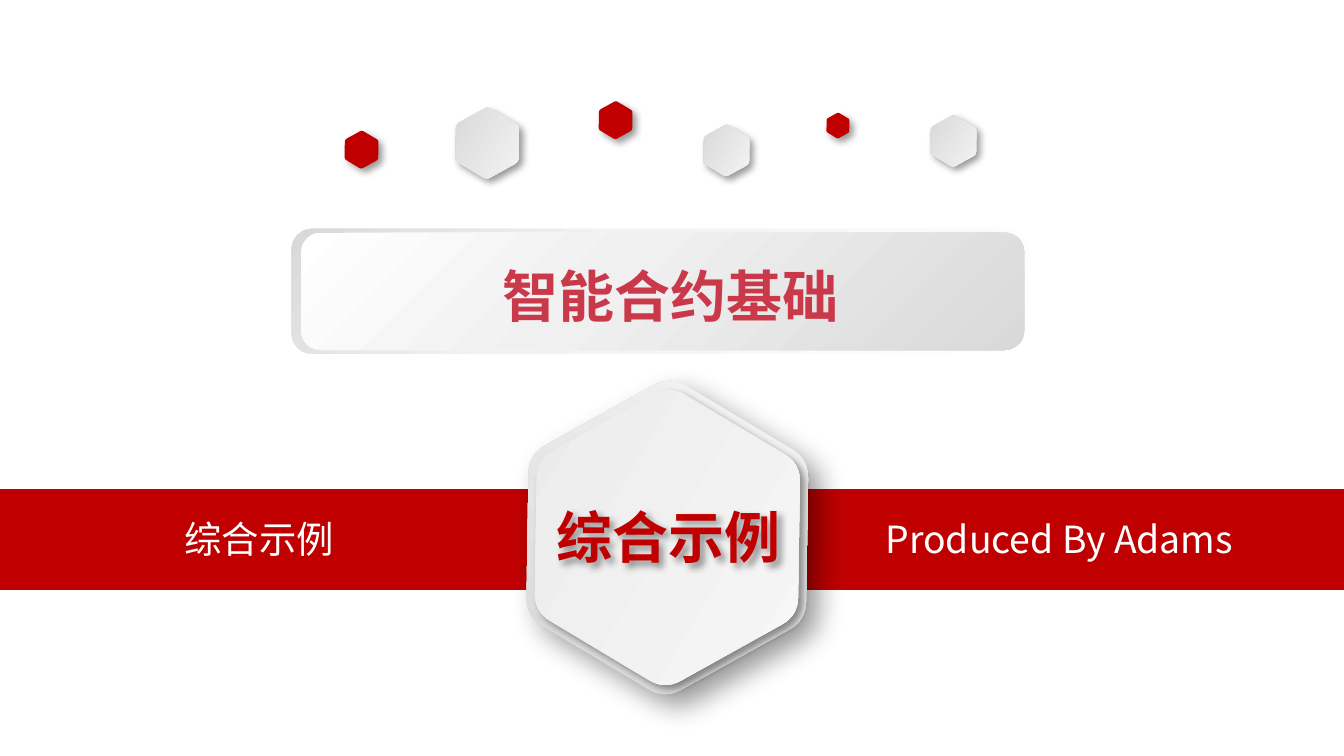
from math import cos, pi, sin, sqrt

from lxml.etree import SubElement
from pptx import Presentation
from pptx.dml.color import RGBColor
from pptx.enum.shapes import MSO_SHAPE
from pptx.enum.text import MSO_ANCHOR, PP_ALIGN
from pptx.oxml import parse_xml
from pptx.oxml.ns import nsdecls, qn
from pptx.util import Pt

HUES = {"red": "C00000", "rose": "C9394A", "white": "FFFFFF", "black": "000000",
        "grey": "D3D3D3", "mist": "E9E9E9", "pale": "F9F9F9",
        "light": "F2F2F2", "soft": "F0F0F0", "dark": "D9D9D9"}
FONT = "Noto Sans CJK SC"
TILT = 30.9
GLOSS = (0, [(0, "grey"), (100, "pale")])


class Deck:
    """Hold the style and the current slide, and draw each kind of element."""

    def __init__(self, width, height):
        self.prs = Presentation()
        self.prs.slide_width, self.prs.slide_height = Pt(width), Pt(height)
        self.slide = self.prs.slides.add_slide(self.prs.slide_layouts[6])
        self.shapes = self.slide.shapes

    def paint(self, shape, fill):
        shape.shadow.inherit = False
        shape.line.fill.background()
        if fill is None:
            shape.fill.background()
        elif isinstance(fill, str):
            shape.fill.solid()
            shape.fill.fore_color.rgb = RGBColor.from_string(HUES[fill])
        else:
            angle, stops = fill
            marks = "".join(f'<a:gs pos="{at * 1000}"><a:srgbClr val="{HUES[hue]}"/></a:gs>'
                            for at, hue in stops)
            grad = parse_xml(f'<a:gradFill {nsdecls("a")} rotWithShape="1"><a:gsLst>{marks}'
                             f'</a:gsLst><a:lin ang="{angle * 60000}" scaled="0"/></a:gradFill>')
            shape._element.spPr.find(qn("a:ln")).addprevious(grad)

    def shade(self, shape, blur, dist):
        effect = shape._element.spPr.find(qn("a:effectLst"))
        effect.append(parse_xml(
            f'<a:outerShdw {nsdecls("a")} blurRad="{Pt(blur)}" dist="{Pt(dist)}" dir="2700000" '
            f'algn="tl" rotWithShape="0"><a:srgbClr val="{HUES["black"]}">'
            '<a:alpha val="40000"/></a:srgbClr></a:outerShdw>'))

    def panel(self, kind, box, fill):
        shape = self.shapes.add_shape(kind, *map(Pt, box))
        self.paint(shape, fill)
        return shape

    def hexagon(self, x, y, height, fill, blur=4, dist=3):
        size = height / sqrt(3)
        tips = [(x + size * cos(k * pi / 3), y + size * sin(k * pi / 3)) for k in range(6)]
        dots = []
        for k, tip in enumerate(tips):
            start, end = ([t + 0.12 * (n - t) for t, n in zip(tip, near)]
                          for near in (tips[k - 1], tips[(k + 1) % 6]))
            for step in range(9):
                u = step / 8
                dots.append([Pt((1 - u) ** 2 * a + 2 * u * (1 - u) * t + u * u * b)
                             for a, t, b in zip(start, tip, end)])
        outline = self.shapes.build_freeform(*dots[0])
        outline.add_line_segments(dots[1:], close=True)
        shape = outline.convert_to_shape()
        shape.rotation = TILT
        self.paint(shape, fill)
        self.shade(shape, blur, dist)

    def letter(self, shape, words, size, hue, align=PP_ALIGN.CENTER, bold=False):
        frame = shape.text_frame
        frame.word_wrap = True
        para = frame.paragraphs[0]
        para.text, para.alignment = words, align
        font = para.font
        font.size, font.bold, font.name = Pt(size), bold, FONT
        font.color.rgb = RGBColor.from_string(HUES[hue])
        SubElement(font._element, qn("a:ea"), typeface=FONT)

    def label(self, box, *args, **style):
        self.letter(self.shapes.add_textbox(*map(Pt, box)), *args, **style)


def main():
    deck = Deck(720, 405)
    deck.panel(MSO_SHAPE.RECTANGLE, (0, 262, 720, 54), "red")
    deck.label((12.2, 272.9, 253.4, 31.7), "综合示例", 20, "white")
    deck.label((467.3, 272.9, 252, 31.7), "Produced By Adams", 20, "white", align=PP_ALIGN.LEFT)

    for x, y, height, fill in [(261, 76.7, 33.8, GLOSS), (329.8, 64.4, 18, "red"),
                               (193.7, 80.2, 18, "red"), (389.2, 80.6, 24.4, GLOSS),
                               (448.9, 67.3, 12.2, "red"), (510.8, 75.6, 24.4, GLOSS)]:
        deck.hexagon(x, y, height, fill)
    deck.hexagon(357.5, 288, 149.8, (270, GLOSS[1]), 15, 9)
    deck.hexagon(357.5, 288, 141.1, (0, [(0, "mist"), (100, "pale")]))

    deck.panel(MSO_SHAPE.ROUNDED_RECTANGLE, (156.2, 122.6, 394.6, 67),
               (225, [(0, "white"), (62, "light"), (100, "dark")]))
    deck.panel(MSO_SHAPE.ROUNDED_RECTANGLE, (161.3, 124.6, 387.4, 62.9),
               (45, [(0, "white"), (42, "soft"), (100, "dark")]))
    deck.label((162, 136.8, 394.6, 43.2), "智能合约基础", 30, "rose", bold=True)

    badge = deck.panel(MSO_SHAPE.ROUNDED_RECTANGLE, (287.3, 269.3, 141.8, 36), None)
    deck.shade(badge, 4, 3)
    badge.text_frame.vertical_anchor = MSO_ANCHOR.MIDDLE
    deck.letter(badge, "综合示例", 30, "red", bold=True)
    deck.prs.save("out.pptx")


if __name__ == "__main__":
    main()
